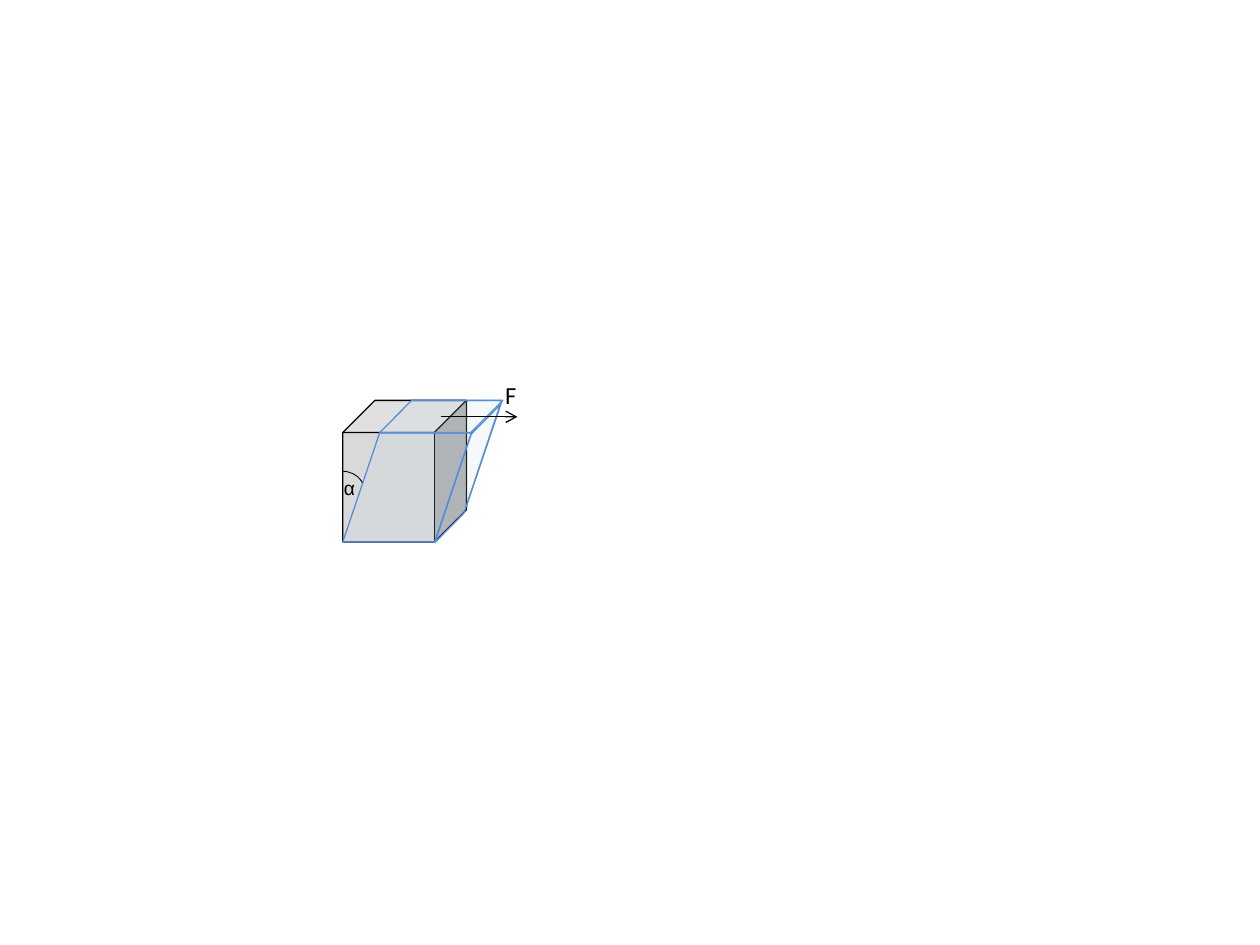
from dataclasses import dataclass

from lxml.etree import SubElement
from pptx import Presentation
from pptx.dml.color import RGBColor
from pptx.enum.shapes import MSO_CONNECTOR, MSO_SHAPE
from pptx.enum.text import MSO_AUTO_SIZE
from pptx.oxml.ns import qn
from pptx.util import Pt


@dataclass(frozen=True)
class Theme:
    white: str = "FFFFFF"
    black: str = "000000"
    cube: str = "D9D9D9"
    sheared: str = "C6D9F1"
    edge: str = "558ED5"
    force_font: str = "Calibri"
    force_size: float = 14
    angle_font: str = "Arial"
    angle_size: float = 11


def write_text(tf, text, font, size, color):
    r = tf.paragraphs[0].add_run()
    r.text = text
    r.font.name = font
    r.font.size = Pt(size)
    r.font.color.rgb = RGBColor.from_string(color)


class Diagram:
    def __init__(self, slide, theme):
        self.theme = theme
        self.shapes = slide.shapes.add_group_shape().shapes

    def stroke(self, sp, color, width):
        sp.line.color.rgb = RGBColor.from_string(color)
        sp.line.width = Pt(width)

    def shape(self, kind, box, line, width=0.75, fill=None, alpha=None, adj=(), rotation=0):
        sp = self.shapes.add_shape(kind, *map(Pt, box))
        sp.shadow.inherit = False
        sp.rotation = rotation
        for i, value in enumerate(adj):
            sp.adjustments[i] = value
        if fill:
            sp.fill.solid()
            sp.fill.fore_color.rgb = RGBColor.from_string(fill)
            if alpha:
                clr = sp.fill._xPr.find(qn("a:solidFill"))[0]
                SubElement(clr, qn("a:alpha")).set("val", str(alpha * 1000))
        else:
            sp.fill.background()
        self.stroke(sp, line, width)
        return sp

    def face(self, box, adj, filled=True, rotation=0):
        fill, alpha = (self.theme.sheared, 15) if filled else (None, None)
        return self.shape(MSO_SHAPE.PARALLELOGRAM, box, self.theme.edge,
                          fill=fill, alpha=alpha, adj=(adj,), rotation=rotation)

    def arrow(self, x1, y1, x2, y2):
        sp = self.shapes.add_connector(MSO_CONNECTOR.STRAIGHT, *map(Pt, (x1, y1, x2, y2)))
        self.stroke(sp, self.theme.black, 0.75)
        SubElement(sp.line._get_or_add_ln(), qn("a:tailEnd")).set("type", "arrow")
        SubElement(sp._element.spPr, qn("a:effectLst"))
        return sp

    def label(self, box, text, **fmt):
        sp = self.shapes.add_textbox(*map(Pt, box))
        tf = sp.text_frame
        tf.word_wrap = False
        tf.auto_size = MSO_AUTO_SIZE.SHAPE_TO_FIT_TEXT
        write_text(tf, text, color=self.theme.black, **fmt)
        return sp


def main():
    prs = Presentation()
    prs.slide_width, prs.slide_height = Pt(720), Pt(540)
    s = prs.slides.add_slide(prs.slide_layouts[6])
    t = Theme()
    d = Diagram(s, t)

    left, top, depth = 195.9, 228.8, 18.4
    face_w, face_h, lean = 73.6, 62.5, 0.338

    d.shape(MSO_SHAPE.RECTANGLE, (182.9, 213.8, 119.5, 100), t.white, width=2, fill=t.white)
    d.face((left + 17.5, top, face_w, face_h), lean, filled=False)
    d.shape(MSO_SHAPE.CUBE, (left, top, 70.6, 80.9), t.black, fill=t.cube, adj=(0.26,))
    d.face((left, top + depth, face_w, face_h), lean)
    d.face((left + 20.9, top, 70.5, depth + 0.2), 0.991)
    d.face((226.1, 256.3, 82.1, 28.8), 2.032, rotation=314.7)
    d.arrow(252, 238.2, 295.7, 238.2)
    d.shape(MSO_SHAPE.ARC, (182.9, 269.3, 25.2, 21.6), t.black, width=0.5, adj=(162, 203.79))
    d.label((281.5, 213.8, 20.9, 24.5), "F", font=t.force_font, size=t.force_size)
    d.label((189.4, 268.6, 21.6, 20.9), "α", font=t.angle_font, size=t.angle_size)

    prs.save("out.pptx")


if __name__ == "__main__":
    main()
